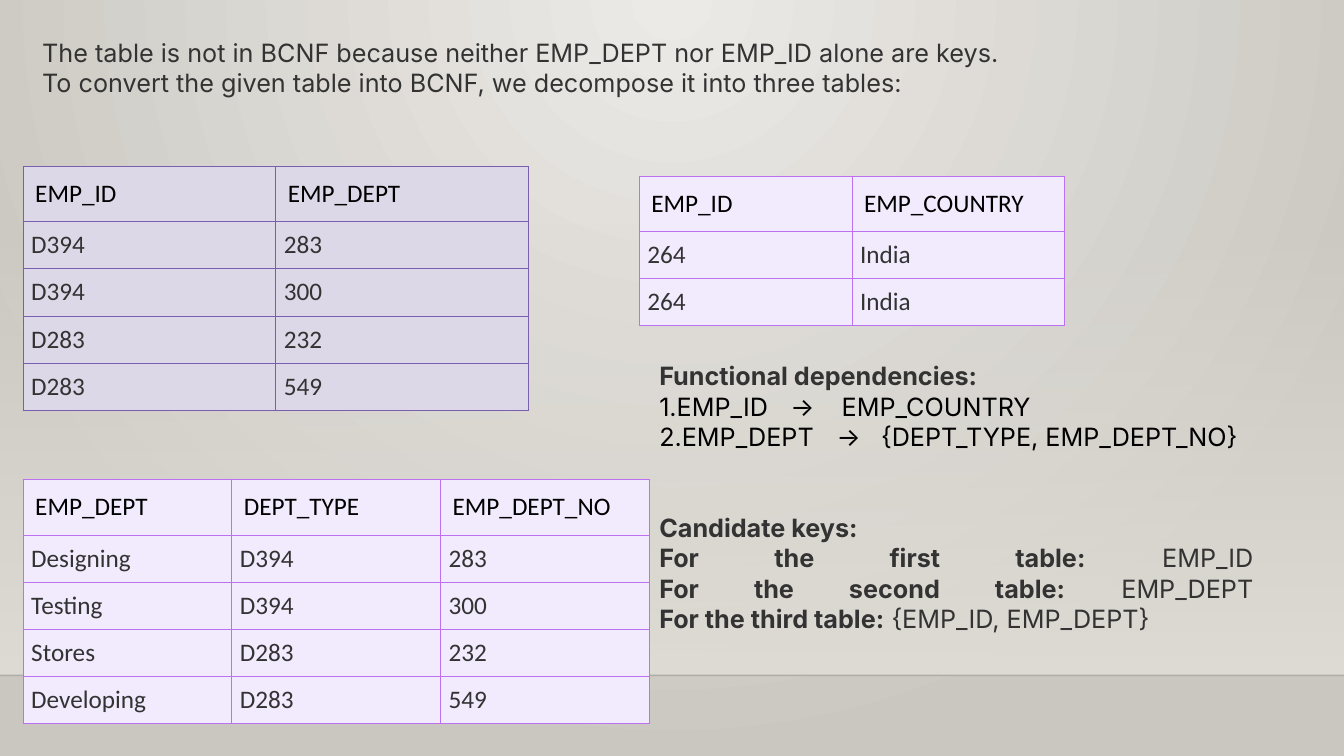
"""Build a slide that decomposes an employee table into BCNF."""
from lxml import etree
from pptx import Presentation
from pptx.dml.color import RGBColor
from pptx.enum import shapes, text
from pptx.oxml import ns
from pptx.util import Inches, Pt

BLACK = RGBColor(0, 0, 0)
INK = RGBColor(0x33, 0x33, 0x33)
GLOW = RGBColor(0xEC, 0xEA, 0xE7)
STONE = RGBColor(0xCA, 0xC7, 0xC1)
WALL = RGBColor(0xDF, 0xDB, 0xD5)
VIOLET = RGBColor(0x79, 0x5F, 0xAF)
LAVENDER = RGBColor(0xDD, 0xD8, 0xE7)
ORCHID = RGBColor(0xBC, 0x72, 0xF0)
LILAC = RGBColor(0xF2, 0xEA, 0xFD)

INTRO = [
    "The table is not in BCNF because neither EMP_DEPT nor EMP_ID alone are keys.",
    "To convert the given table into BCNF, we decompose it into three tables:",
]
TABLES = [
    dict(at=(6.34, 1.75, 4.22, 1.48), border=ORCHID, fill=LILAC, rows=[
        ("EMP_ID", "EMP_COUNTRY"),
        ("264", "India"),
        ("264", "India"),
    ]),
    dict(at=(0.23, 4.76, 6.21, 2.42), border=ORCHID, fill=LILAC, rows=[
        ("EMP_DEPT", "DEPT_TYPE", "EMP_DEPT_NO"),
        ("Designing", "D394", "283"),
        ("Testing", "D394", "300"),
        ("Stores", "D283", "232"),
        ("Developing", "D283", "549"),
    ]),
    dict(at=(0.23, 1.65, 5.01, 2.42), border=VIOLET, fill=LAVENDER, rows=[
        ("EMP_ID", "EMP_DEPT"),
        ("D394", "283"),
        ("D394", "300"),
        ("D283", "232"),
        ("D283", "549"),
    ]),
]
DEPENDENCIES = [
    ("EMP_ID\t→\tEMP_COUNTRY", (1.3, 1.81)),
    ("EMP_DEPT\t→\t{DEPT_TYPE, EMP_DEPT_NO}", (1.76, 2.2)),
]
CANDIDATE_KEYS = [
    ("For the first table:", " EMP_ID"),
    ("For the second table:", " EMP_DEPT"),
    ("For the third table:", " {EMP_ID, EMP_DEPT}"),
]
HEADER_HEIGHT = 0.55
JUSTIFY = text.PP_ALIGN.JUSTIFY


def add_xml(parent, tag, **attributes):
    return etree.SubElement(parent, ns.qn(tag), attributes)


def set_alpha(parent, percents):
    for color, percent in zip(parent.iter(ns.qn("a:srgbClr")), percents):
        add_xml(color, "a:alpha", val=str(percent * 1000))


def set_gradient(fill, colors):
    fill.gradient()
    for stop, color in zip(fill.gradient_stops, colors):
        stop.color.rgb = color
    fill.gradient_angle = 270


def add_span(para, words, color=INK, bold=False, font="Inter"):
    span = para.add_run()
    span.text = words
    span.font.name = font
    span.font.size = Pt(18)
    span.font.bold = bold
    span.font.color.rgb = color


def add_frame(slide, *place):
    frame = slide.shapes.add_textbox(*map(Inches, place)).text_frame
    frame.word_wrap = True
    return frame


def add_background(slide):
    set_gradient(slide.background.fill, (GLOW, STONE))
    line = next(slide.background._cSld.iter(ns.qn("a:lin")))
    circle = etree.Element(ns.qn("a:path"), path="circle")
    add_xml(circle, "a:fillToRect", l="43000", t="0", r="43000", b="100000")
    line.getparent().replace(line, circle)

    wall = slide.shapes.add_shape(shapes.MSO_SHAPE.RECTANGLE, 0, Inches(2.21),
                                  Inches(13.33), Inches(4.49))
    wall.shadow.inherit = False
    wall.line.fill.background()
    set_gradient(wall.fill, (WALL, WALL))
    set_alpha(wall._element.spPr, (0, 100))

    floor = slide.shapes.add_connector(shapes.MSO_CONNECTOR.STRAIGHT, 0, Inches(6.7),
                                       Inches(13.33), Inches(6.7))
    floor.line.color.rgb = BLACK
    floor.line.width = Pt(1)
    set_alpha(floor._element.spPr, (20,))
    add_xml(floor._element.spPr, "a:effectLst")


def set_borders(cell, color):
    properties = cell._tc.get_or_add_tcPr()
    for place, side in enumerate(("L", "R", "T", "B")):
        edge = etree.Element(ns.qn("a:ln" + side), w=str(Pt(0.75)))
        add_xml(add_xml(edge, "a:solidFill"), "a:srgbClr", val=str(color))
        properties.insert(place, edge)


def add_table(slide, at, border, fill, rows):
    left, top, width, height = at
    table = slide.shapes.add_table(len(rows), len(rows[0]), *map(Inches, at)).table
    for column in table.columns:
        column.width = Inches(width / len(rows[0]))
    for r, values in enumerate(rows):
        header = r == 0
        body_height = (height - HEADER_HEIGHT) / (len(rows) - 1)
        table.rows[r].height = Inches(HEADER_HEIGHT if header else body_height)
        inset = Inches(0.12 if header else 0.08)
        for c, value in enumerate(values):
            cell = table.cell(r, c)
            cell.margin_left = cell.margin_right = inset
            cell.margin_top = cell.margin_bottom = inset
            cell.fill.solid()
            cell.fill.fore_color.rgb = fill
            set_borders(cell, border)
            para = cell.text_frame.paragraphs[0]
            para.alignment = None if header else JUSTIFY
            add_span(para, value, BLACK if header else INK, font="Calibri")


def add_intro(slide):
    frame = add_frame(slide, 0.32, 0.32, 12.21, 0.71)
    for i, words in enumerate(INTRO):
        para = frame.add_paragraph() if i else frame.paragraphs[0]
        para.alignment = JUSTIFY
        add_span(para, words)


def add_keys(slide):
    frame = add_frame(slide, 6.44, 3.53, 6.09, 2.83)
    add_span(frame.paragraphs[0], "Functional dependencies:", bold=True)
    for number, (words, stops) in enumerate(DEPENDENCIES, 1):
        para = frame.add_paragraph()
        properties = para._p.get_or_add_pPr()
        add_xml(properties, "a:buFont", typeface="+mj-lt")
        add_xml(properties, "a:buAutoNum", type="arabicPeriod", startAt=str(number))
        tabs = add_xml(properties, "a:tabLst")
        for stop in stops:
            add_xml(tabs, "a:tab", pos=str(Inches(stop)), algn="l")
        add_span(para, words, BLACK)

    para = frame.add_paragraph()
    para.alignment = JUSTIFY
    para.space_before = Pt(43.5)
    add_span(para, "Candidate keys:", bold=True)
    para = frame.add_paragraph()
    para.alignment = JUSTIFY
    for i, (label, key) in enumerate(CANDIDATE_KEYS):
        if i:
            para.add_line_break()
        add_span(para, label, bold=True)
        add_span(para, key)


def main():
    deck = Presentation()
    deck.slide_width, deck.slide_height = Inches(13.33), Inches(7.5)
    slide = deck.slides.add_slide(deck.slide_layouts[6])
    add_background(slide)
    add_intro(slide)
    for table in TABLES:
        add_table(slide, **table)
    add_keys(slide)
    deck.save("out.pptx")


if __name__ == "__main__":
    main()
